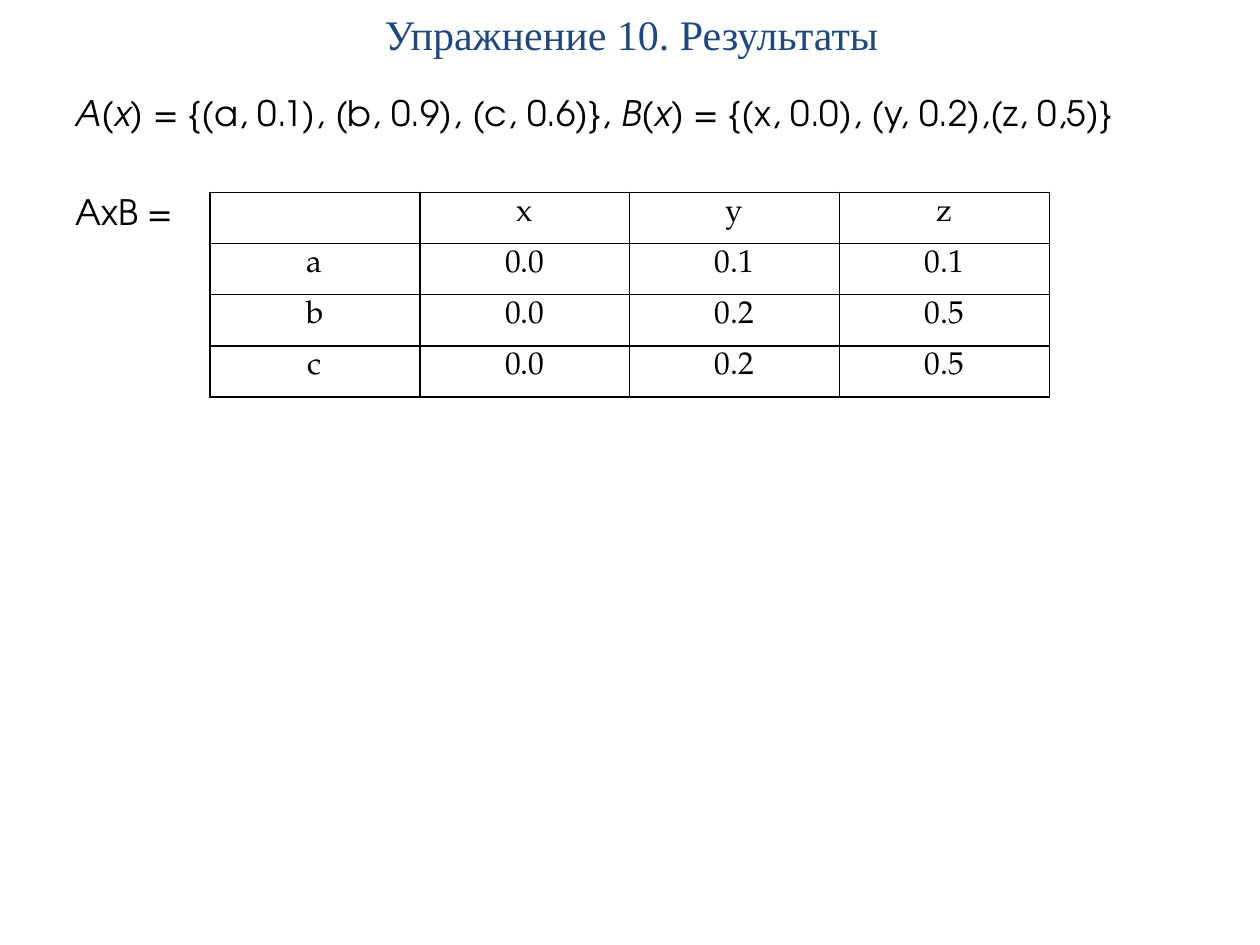
import pptx
import pptx.dml.color
import pptx.enum.text
import pptx.oxml
import pptx.oxml.ns
import pptx.util
from pptx.util import Cm

COLORS = {"title": "1F497D", "text": "000000", "background": "FFFFFF"}
TITLE = {"name": "Times New Roman", "size": pptx.util.Pt(24), "color": "title"}
BODY = {"name": "TeX Gyre Adventor", "size": pptx.util.Pt(20), "color": "text"}
CELL = {"name": "TeX Gyre Pagella", "size": pptx.util.Pt(18), "color": "text"}
CENTER = pptx.enum.text.PP_ALIGN.CENTER
MIDDLE = pptx.enum.text.MSO_ANCHOR.MIDDLE


class SlideBuilder:
    """Adds styled text and tables to the current slide."""

    def __init__(self, slide):
        self.slide = slide

    def color(self, name):
        return pptx.dml.color.RGBColor.from_string(COLORS[name])

    def run(self, paragraph, text, style):
        run = paragraph.add_run()
        run.text = text
        for key, value in style.items():
            if key == "color":
                run.font.color.rgb = self.color(value)
            else:
                setattr(run.font, key, value)

    def text(self, box, paragraphs, style, **frame_format):
        frame = self.slide.shapes.add_textbox(*map(Cm, box)).text_frame
        for key, value in {"word_wrap": True, **frame_format}.items():
            setattr(frame, key, value)
        for index, (paragraph_format, runs) in enumerate(paragraphs):
            paragraph = frame.add_paragraph() if index else frame.paragraphs[0]
            for key, value in paragraph_format.items():
                setattr(paragraph, key, value)
            for text, italic in runs:
                self.run(paragraph, text, {**style, "italic": italic})

    def border(self, cell):
        properties = cell._tc.get_or_add_tcPr()
        namespace = pptx.oxml.ns.nsdecls("a")
        for index, side in enumerate(("lnL", "lnR", "lnT", "lnB")):
            line = pptx.oxml.parse_xml(
                f'<a:{side} {namespace} w="{pptx.util.Pt(1)}"><a:solidFill>'
                f'<a:srgbClr val="{COLORS["text"]}"/></a:solidFill></a:{side}>'
            )
            properties.insert(index, line)

    def table(self, box, rows, style):
        shape = self.slide.shapes.add_table(len(rows), len(rows[0]), *map(Cm, box))
        table = shape.table
        table.first_row = table.horz_banding = False
        for row_index, row in enumerate(rows):
            for column_index, text in enumerate(row):
                cell = table.cell(row_index, column_index)
                cell.fill.solid()
                cell.fill.fore_color.rgb = self.color("background")
                self.border(cell)
                paragraph = cell.text_frame.paragraphs[0]
                paragraph.alignment = CENTER
                if text:
                    self.run(paragraph, text, style)


def main():
    presentation = pptx.Presentation()
    presentation.slide_width, presentation.slide_height = Cm(25.4), Cm(19.05)
    builder = SlideBuilder(presentation.slides.add_slide(presentation.slide_layouts[6]))

    builder.text(
        (1.3, 0, 22.86, 1.37),
        [({"alignment": CENTER}, [("Упражнение 10. Результаты", False)])],
        TITLE,
        vertical_anchor=MIDDLE,
    )
    sets = [
        ("A(x) ", True),
        ("= {(a, 0.1), (b, 0.9), (c, 0.6)}, ", False),
        ("B(x) ", True),
        ("= {(x, 0.0), (y, 0.2),(z, 0,5)}", False),
    ]
    builder.text(
        (1.27, 1.73, 22.86, 15.29),
        [
            ({"space_before": pptx.util.Pt(4)}, sets),
            ({"space_before": pptx.util.Pt(32)}, [("AxB =", False)]),
        ],
        BODY,
    )
    builder.table(
        (4.23, 3.88, 16.93, 4.12),
        [
            ("", "x", "y", "z"),
            ("a", "0.0", "0.1", "0.1"),
            ("b", "0.0", "0.2", "0.5"),
            ("c", "0.0", "0.2", "0.5"),
        ],
        CELL,
    )
    presentation.save("out.pptx")


if __name__ == "__main__":
    main()
